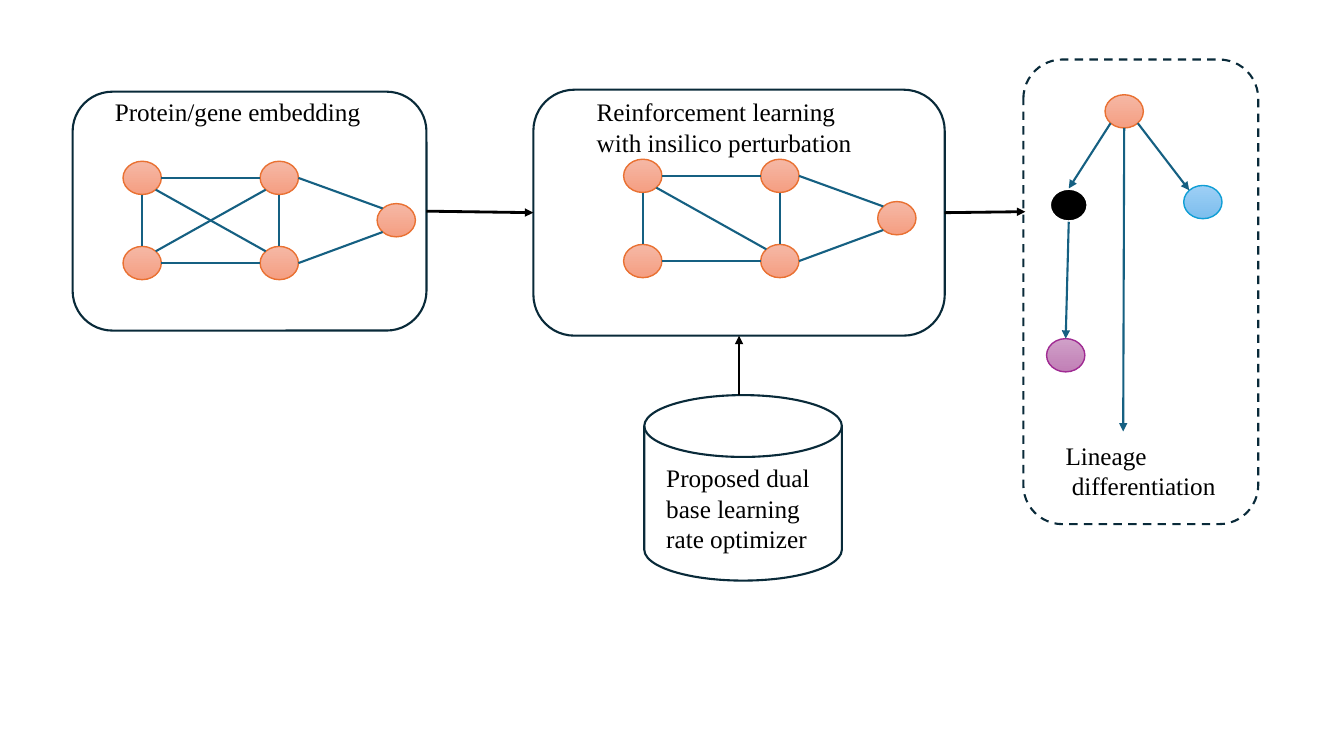
from dataclasses import dataclass
from typing import Optional

from lxml import etree
from pptx import Presentation
from pptx.dml.color import RGBColor
from pptx.enum.dml import MSO_LINE
from pptx.enum.shapes import MSO_CONNECTOR, MSO_SHAPE
from pptx.enum.text import PP_ALIGN
from pptx.oxml.ns import qn
from pptx.shapes.autoshape import Shape
from pptx.shapes.connector import Connector
from pptx.slide import Slide
from pptx.util import Inches, Pt

STRAIGHT = MSO_CONNECTOR.STRAIGHT
ELLIPSE = MSO_SHAPE.OVAL
ROUNDED = MSO_SHAPE.ROUNDED_RECTANGLE
DISK = MSO_SHAPE.FLOWCHART_MAGNETIC_DISK
DASH = MSO_LINE.DASH
LEFT = PP_ALIGN.LEFT

COLORS = {
    "edge": "156082", "outline": "092A39", "black": "000000", "white": "FFFFFF",
    "orange": "E97132", "orange_light": "F5B8A5", "orange_deep": "F59E82",
    "blue": "0F9ED5", "blue_light": "9ECFF5", "blue_deep": "7CBEED",
    "purple": "A02B93", "purple_light": "D0A0C8", "purple_deep": "C17FB6",
}
FONT = "Times New Roman"
COLUMN = ROW = Inches(0.1)
NODE_WIDTH, NODE_HEIGHT = 3.8, 3.3
DIAGONAL = 0.71
SIDES = {
    "top": (0, -1), "bottom": (0, 1), "left": (-1, 0), "right": (1, 0),
    "top_left": (-DIAGONAL, -DIAGONAL), "top_right": (DIAGONAL, -DIAGONAL),
    "bottom_left": (-DIAGONAL, DIAGONAL), "bottom_right": (DIAGONAL, DIAGONAL),
}
BOTTOM_SITE, LEFT_SITE, RIGHT_SITE = 2, 1, 3

Point = tuple[float, float]


@dataclass(frozen=True)
class Node:
    column: float
    row: float
    color: str = "orange"

    def side(self, name: str) -> Point:
        across, down = SIDES[name]
        return (self.column + across * NODE_WIDTH / 2, self.row + down * NODE_HEIGHT / 2)


@dataclass(frozen=True)
class Edge:
    start: str
    start_side: str
    end: str
    end_side: str


@dataclass(frozen=True)
class Panel:
    column: float
    row: float
    width: float
    height: float
    preset: int = ROUNDED
    dashed: bool = False


@dataclass(frozen=True)
class Label:
    column: float
    row: float
    width: float
    height: float
    lines: tuple[str, ...]


NETWORK_NODES = {
    "upper_left": Node(14.1, 17.65), "lower_left": Node(14.1, 26.1),
    "upper_right": Node(27.7, 17.65), "lower_right": Node(27.7, 26.1),
    "tip": Node(39.3, 21.85),
}
PERTURBED_EDGES = [
    Edge("upper_left", "right", "upper_right", "left"),
    Edge("upper_right", "right", "tip", "top_left"),
    Edge("lower_right", "right", "tip", "bottom_left"),
    Edge("lower_left", "right", "lower_right", "left"),
    Edge("upper_left", "bottom", "lower_left", "top"),
    Edge("upper_right", "bottom", "lower_right", "top"),
    Edge("upper_left", "bottom_right", "lower_right", "top_left"),
]
EMBEDDING_EDGES = PERTURBED_EDGES + [Edge("lower_left", "top_right", "upper_right", "bottom_left")]
PERTURBED_SHIFT = (49.65, -0.2)

LINEAGE_NODES = {
    "root": Node(111.5, 11.05), "black": Node(106, 20.35, "black"),
    "blue": Node(119.3, 20.05, "blue"), "purple": Node(105.7, 35.25, "purple"),
}
LINEAGE_EDGES = [
    Edge("root", "bottom_left", "black", "top"),
    Edge("root", "bottom_right", "blue", "top_left"),
    Edge("black", "bottom", "purple", "top"),
]
LINEAGE_END = (111.4, 42.8)

PANELS = {
    "embedding": Panel(7.2, 9.1, 35.1, 23.7),
    "learning": Panel(52.9, 8.9, 40.8, 24.4),
    "lineage": Panel(101.5, 5.9, 23.3, 46.1, dashed=True),
    "optimizer": Panel(63.9, 39.2, 19.6, 18.4, DISK),
}
LABELS = [
    Label(10.4, 9.1, 30, 4, ("Protein/gene embedding",)),
    Label(58.2, 9.1, 31, 7, ("Reinforcement learning", "with insilico perturbation")),
    Label(65.1, 45.4, 17.4, 10, ("Proposed dual base learning rate optimizer",)),
    Label(104.7, 43.2, 20, 7, ("Lineage", " differentiation")),
]


def rgb(name: str) -> RGBColor:
    return RGBColor.from_string(COLORS[name])


def add_shape(page: Slide, preset: int, column: float, row: float,
              width: float, height: float, color: str, weight: float) -> Shape:
    shape = page.shapes.add_shape(preset, int(column * COLUMN), int(row * ROW),
                                  int(width * COLUMN), int(height * ROW))
    shape.shadow.inherit = False
    shape.line.color.rgb = rgb(color)
    shape.line.width = Pt(weight)
    return shape


def draw_panel(page: Slide, panel: Panel) -> Shape:
    shape = add_shape(page, panel.preset, panel.column, panel.row,
                      panel.width, panel.height, "outline", 1.5)
    shape.fill.background()
    if panel.dashed:
        shape.line.dash_style = DASH
    return shape


def draw_node(page: Slide, node: Node) -> None:
    solid = node.color == "black"
    left, top = node.side("left")[0], node.side("top")[1]
    shape = add_shape(page, ELLIPSE, left, top, NODE_WIDTH, NODE_HEIGHT,
                      "white" if solid else node.color, 2 if solid else 1)
    if solid:
        shape.fill.solid()
        shape.fill.fore_color.rgb = rgb(node.color)
        return
    shape.fill.gradient()
    shape.fill.gradient_angle = 270
    for stop, shade in zip(shape.fill.gradient_stops, ("light", "deep")):
        stop.color.rgb = rgb(f"{node.color}_{shade}")


def draw_line(page: Slide, start: Point, end: Point, color: str = "edge",
              weight: float = 1.5, arrow: bool = False) -> Connector:
    line = page.shapes.add_connector(STRAIGHT, int(start[0] * COLUMN), int(start[1] * ROW),
                                     int(end[0] * COLUMN), int(end[1] * ROW))
    line.line.color.rgb = rgb(color)
    line.line.width = Pt(weight)
    if arrow:
        etree.SubElement(line.line._get_or_add_ln(), qn("a:tailEnd"), type="triangle")
    etree.SubElement(line._element.spPr, qn("a:effectLst"))
    return line


def draw_graph(page: Slide, nodes: dict[str, Node], edges: list[Edge], arrow: bool = False) -> None:
    for node in nodes.values():
        draw_node(page, node)
    for edge in edges:
        draw_line(page, nodes[edge.start].side(edge.start_side),
                  nodes[edge.end].side(edge.end_side), arrow=arrow)


def draw_flow(page: Slide, start: Point, end: Point, source: Optional[Shape] = None,
              target: Optional[Shape] = None, target_site: int = LEFT_SITE) -> None:
    line = draw_line(page, start, end, "black", 2, arrow=True)
    if source is not None:
        line.begin_connect(source, RIGHT_SITE)
    if target is not None:
        line.end_connect(target, target_site)


def draw_label(page: Slide, label: Label) -> None:
    box = page.shapes.add_textbox(int(label.column * COLUMN), int(label.row * ROW),
                                  int(label.width * COLUMN), int(label.height * ROW))
    box.text_frame.word_wrap = True
    box.text_frame.text = "\n".join(label.lines)
    for para in box.text_frame.paragraphs:
        para.alignment = LEFT
        para.font.name = FONT
        para.font.size = Pt(18)
        para.font.color.rgb = rgb("black")


def main() -> None:
    deck = Presentation()
    deck.slide_width, deck.slide_height = Inches(13.33), Inches(7.5)
    page = deck.slides.add_slide(deck.slide_layouts[6])
    panels = {name: draw_panel(page, panel) for name, panel in PANELS.items()}
    across, down = PERTURBED_SHIFT
    perturbed_nodes = {name: Node(node.column + across, node.row + down)
                       for name, node in NETWORK_NODES.items()}
    draw_graph(page, NETWORK_NODES, EMBEDDING_EDGES)
    draw_graph(page, perturbed_nodes, PERTURBED_EDGES)
    draw_graph(page, LINEAGE_NODES, LINEAGE_EDGES, arrow=True)
    draw_line(page, LINEAGE_NODES["root"].side("bottom"), LINEAGE_END, arrow=True)
    draw_flow(page, (42.3, 21.1), (52.9, 21.1), panels["embedding"], panels["learning"])
    draw_flow(page, (73.3, 39.2), (73.3, 33.3), target=panels["learning"], target_site=BOTTOM_SITE)
    draw_flow(page, (93.7, 21.1), (101.7, 21), panels["learning"])
    for label in LABELS:
        draw_label(page, label)
    deck.save("out.pptx")


if __name__ == "__main__":
    main()
